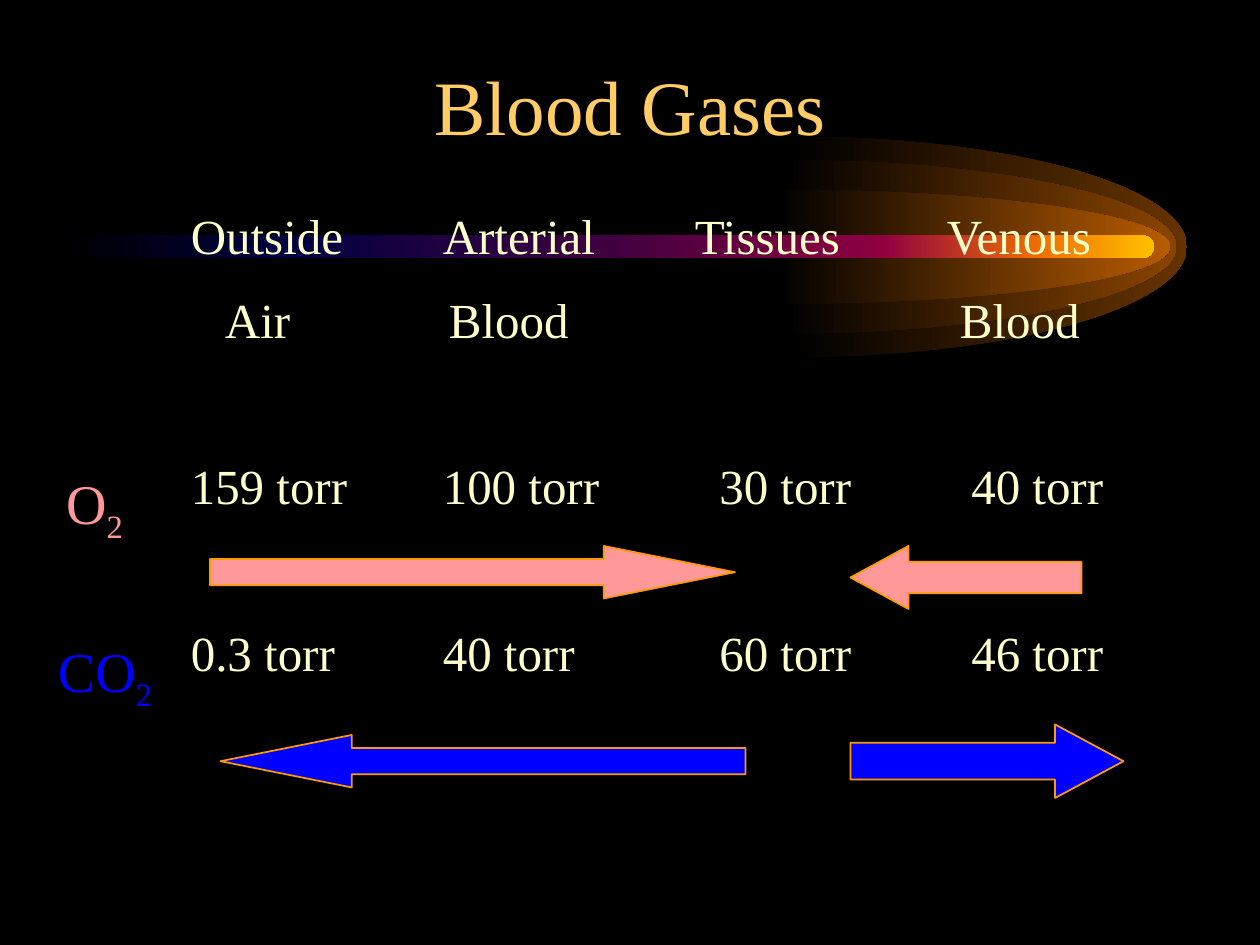
from lxml.etree import SubElement
from pptx import Presentation
from pptx.dml.color import RGBColor
from pptx.enum.shapes import MSO_SHAPE as Preset
from pptx.enum.text import MSO_ANCHOR as Anchor, PP_ALIGN as Align
from pptx.oxml.ns import qn
from pptx.util import Pt

BLACK = RGBColor(0x00, 0x00, 0x00)
GOLD = RGBColor(0xFF, 0xCC, 0x66)
CREAM = RGBColor(0xFF, 0xFF, 0xCC)
PINK = RGBColor(0xFF, 0x99, 0x99)
BLUE = RGBColor(0x00, 0x00, 0xFF)
ORANGE = RGBColor(0xFF, 0x99, 0x00)
GLOW_OUTER = RGBColor(0x66, 0x33, 0x00)
GLOW_MIDDLE = RGBColor(0x89, 0x44, 0x00)
GLOW_INNER = RGBColor(0xB7, 0x5B, 0x00)
TAIL_STOPS = [
    (0, BLACK),
    (20, RGBColor(0x00, 0x00, 0x40)),
    (50, RGBColor(0x40, 0x00, 0x40)),
    (75, RGBColor(0x8F, 0x00, 0x40)),
    (90, RGBColor(0xF2, 0x73, 0x00)),
    (100, RGBColor(0xFF, 0xBF, 0x00)),
]
FONT = "Times New Roman"

COLUMNS = (144, 288, 432)
NAME_COLUMNS = (19.5, 147.5, 439.5)
VALUE_COLUMNS = (144, 302, 446)
ROWS = [
    ("Outside\tArterial\tTissues\tVenous", COLUMNS, 0),
    ("\tAir\tBlood\tBlood", NAME_COLUMNS, 14.2),
    ("159 torr\t100 torr\t30 torr\t40 torr", VALUE_COLUMNS, 61.5),
    ("0.3 torr\t40 torr\t60 torr\t46 torr", VALUE_COLUMNS, 61.5),
]


def write(paragraph, text, size, color, align=Align.LEFT, before=0, subscript=False):
    """Add a formatted run of text to a paragraph."""
    paragraph.alignment = align
    if before:
        paragraph.space_before = Pt(before)
    run = paragraph.add_run()
    run.text = text
    run.font.name = FONT
    run.font.size = Pt(size)
    run.font.color.rgb = color
    if subscript:
        run.font._element.set("baseline", "-25000")


def set_columns(paragraph, columns):
    """Give a paragraph a tab stop for each column."""
    tabs = SubElement(paragraph._p.get_or_add_pPr(), qn("a:tabLst"))
    for position in columns:
        SubElement(tabs, qn("a:tab"), pos=str(Pt(position)), algn="l")


def add_frame(slide, left, top, width, height):
    """Add a wrapping text box and return its text frame."""
    frame = slide.shapes.add_textbox(Pt(left), Pt(top), Pt(width), Pt(height)).text_frame
    frame.word_wrap = True
    return frame


def shade(shape, stops):
    """Fill a shape from left to right with the given colour stops and no outline."""
    shape.shadow.inherit = False
    shape.line.fill.background()
    shape.fill.gradient()
    shape.fill.gradient_angle = 0
    stop_list = shape._element.spPr.find(qn("a:gradFill")).find(qn("a:gsLst"))
    for stop in list(stop_list):
        stop_list.remove(stop)
    for percent, color in stops:
        stop = SubElement(stop_list, qn("a:gs"), pos=str(percent * 1000))
        SubElement(stop, qn("a:srgbClr"), val=str(color))


def add_half_ellipse(slide, left, top, width, height):
    """Draw the right half of an ellipse as two curves."""
    middle = height / 2
    builder = slide.shapes.build_freeform(Pt(left), Pt(top), scale=1.0)
    builder.add_line_segments(
        [(Pt(left + width), Pt(top + middle)), (Pt(left), Pt(top + height))], close=True)
    shape = builder.convert_to_shape()
    bend = 0.55
    across, down = width * bend, middle * bend
    curves = [
        [(across, 0), (width, middle - down), (width, middle)],
        [(width, middle + down), (across, height), (0, height)],
    ]
    outline = next(shape._element.spPr.iter(qn("a:path")))
    for segment, points in zip(outline.findall(qn("a:lnTo")), curves):
        curve = SubElement(outline, qn("a:cubicBezTo"))
        for x, y in points:
            SubElement(curve, qn("a:pt"), x=str(int(Pt(x))), y=str(int(Pt(y))))
        outline.replace(segment, curve)
    return shape


def add_comet(slide, left, top, width, height):
    """Draw the glowing half-ellipses and the tail bar of the comet."""
    middle = top + height / 2
    reach = 225.4
    layers = [(0, 1, GLOW_OUTER), (5.8, 0.79, GLOW_MIDDLE), (9.4, 0.52, GLOW_INNER)]
    for inset, ratio, color in layers:
        depth = height * ratio
        glow = add_half_ellipse(
            slide, left + width - reach - inset, middle - depth / 2, reach, depth)
        shade(glow, [(0, BLACK), (100, color)])
    bar = 13
    tail = slide.shapes.add_shape(
        Preset.ROUNDED_RECTANGLE, Pt(left), Pt(middle - bar / 2), Pt(width - 18.7), Pt(bar))
    tail.adjustments[0] = 0.5
    shade(tail, TAIL_STOPS)


def add_title(slide, left, top, width, height):
    """Place the slide title at the bottom of its box."""
    title = slide.shapes.title
    title.left, title.top, title.width, title.height = map(Pt, (left, top, width, height))
    title.text_frame.vertical_anchor = Anchor.BOTTOM
    write(title.text_frame.paragraphs[0], "Blood Gases", 44, GOLD, align=Align.CENTER)


def add_pressures(slide, left, top, width, height):
    """Set the partial pressures in tabbed columns."""
    frame = add_frame(slide, left, top, width, height)
    for index, (entries, columns, before) in enumerate(ROWS):
        paragraph = frame.paragraphs[0] if index == 0 else frame.add_paragraph()
        set_columns(paragraph, columns)
        write(paragraph, entries, 28, CREAM, before=before)


def add_gas(slide, left, top, width, height, formula, color):
    """Label a gas, with its atom count as a subscript."""
    paragraph = add_frame(slide, left, top, width, height).paragraphs[0]
    write(paragraph, formula, 32, color, align=Align.CENTER)
    write(paragraph, "2", 32, color, align=Align.CENTER, subscript=True)


def add_flow(slide, left, top, width, height, direction, color, head):
    """Draw a block arrow showing which way a gas moves."""
    arrow = slide.shapes.add_shape(direction, Pt(left), Pt(top), Pt(width), Pt(height))
    arrow.shadow.inherit = False
    arrow.adjustments[0] = 0.5
    arrow.adjustments[1] = head
    arrow.fill.solid()
    arrow.fill.fore_color.rgb = color
    arrow.line.color.rgb = ORANGE
    arrow.line.width = Pt(1)


def main():
    """Build the blood gases slide."""
    deck = Presentation()
    deck.slide_width, deck.slide_height = Pt(720), Pt(540)
    slide = deck.slides.add_slide(deck.slide_layouts[5])
    slide.background.fill.solid()
    slide.background.fill.fore_color.rgb = BLACK
    add_comet(slide, 36, 78, 642.2, 126)
    add_title(slide, 54, 30, 612, 60)
    add_pressures(slide, 102, 114, 546, 293)
    add_gas(slide, 24, 264, 60, 45, "O", PINK)
    add_gas(slide, 18, 360, 84, 45, "CO", BLUE)
    add_flow(slide, 120, 312, 300, 30, Preset.RIGHT_ARROW, PINK, 2.5)
    add_flow(slide, 486, 312, 132, 36, Preset.LEFT_ARROW, PINK, 0.92)
    add_flow(slide, 126, 420, 300, 30, Preset.LEFT_ARROW, BLUE, 2.5)
    add_flow(slide, 486, 414, 156, 42, Preset.RIGHT_ARROW, BLUE, 0.93)
    deck.save("out.pptx")


if __name__ == "__main__":
    main()
